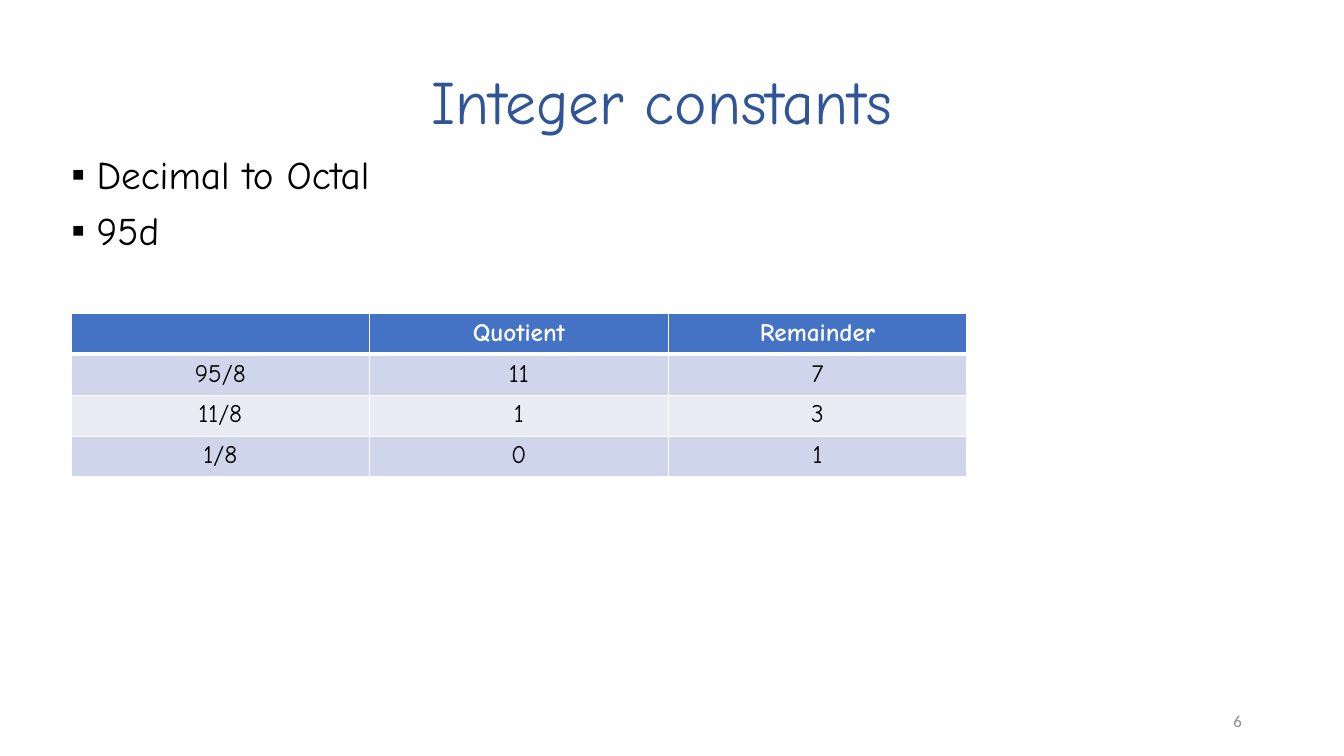
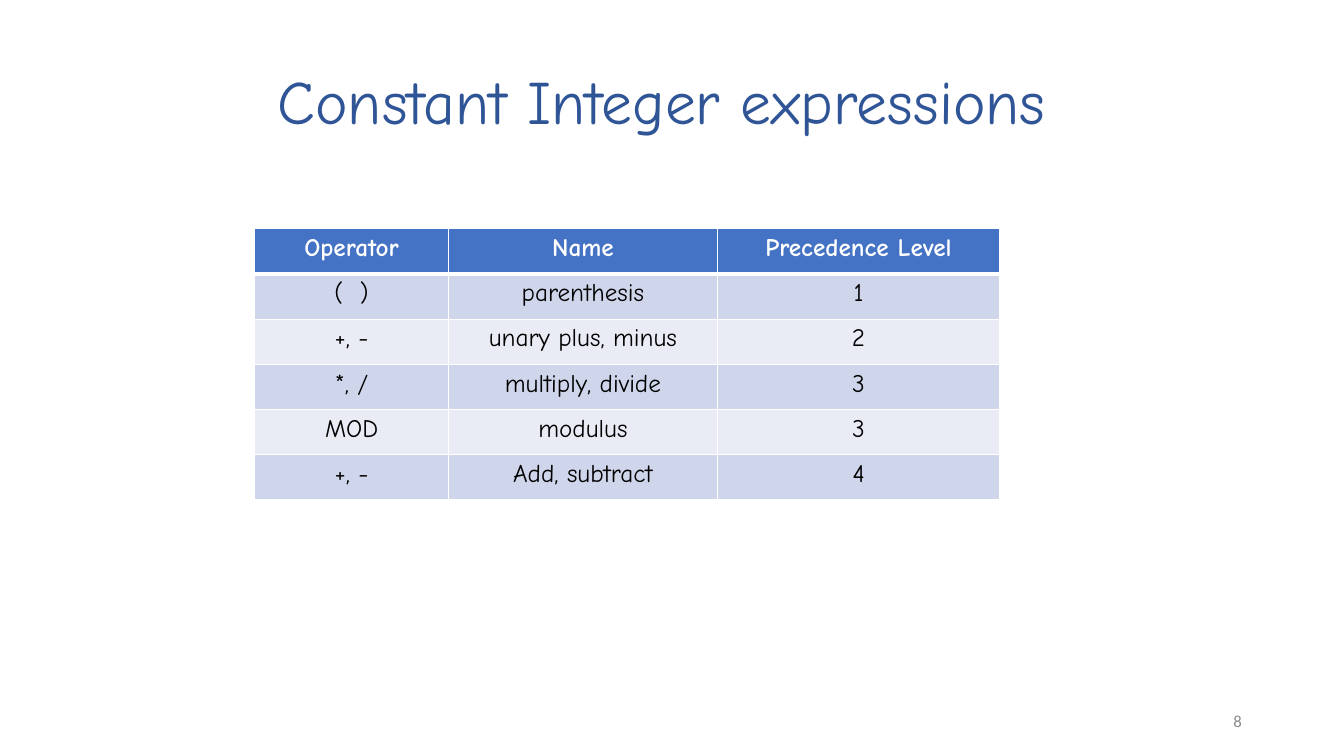
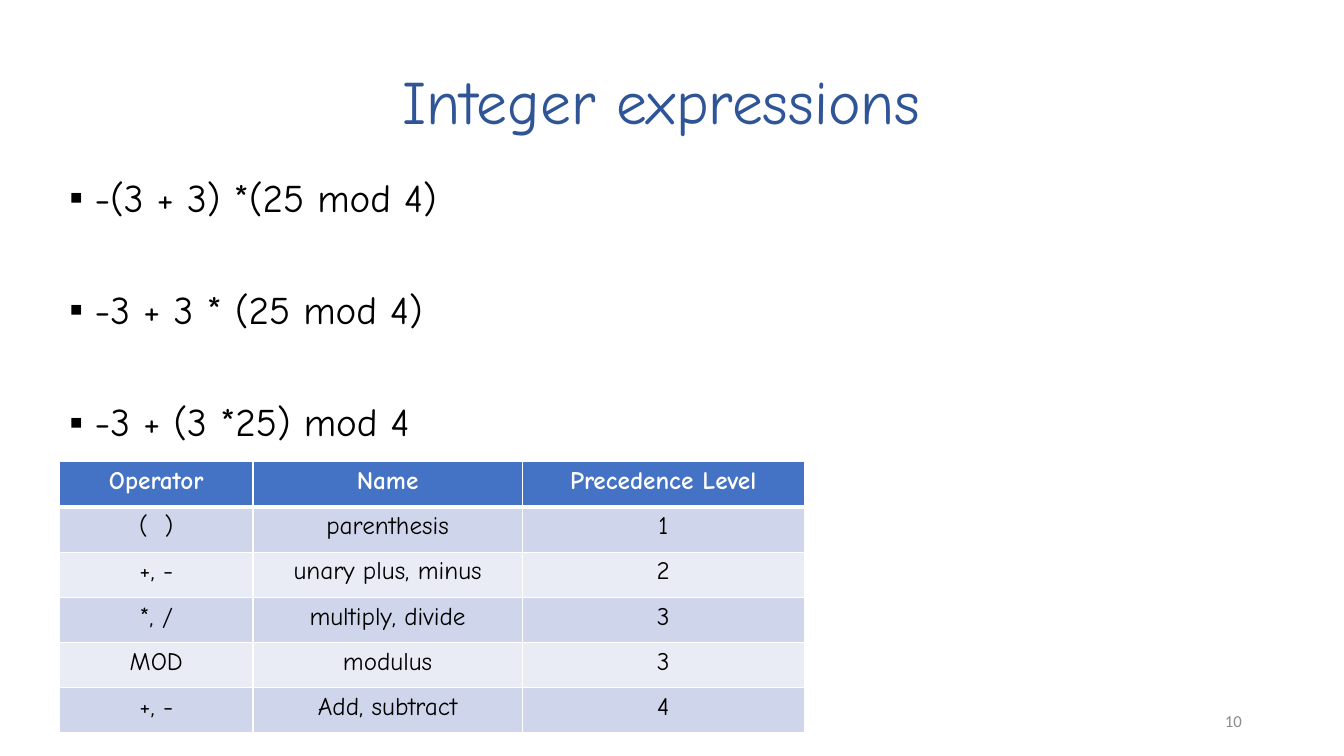
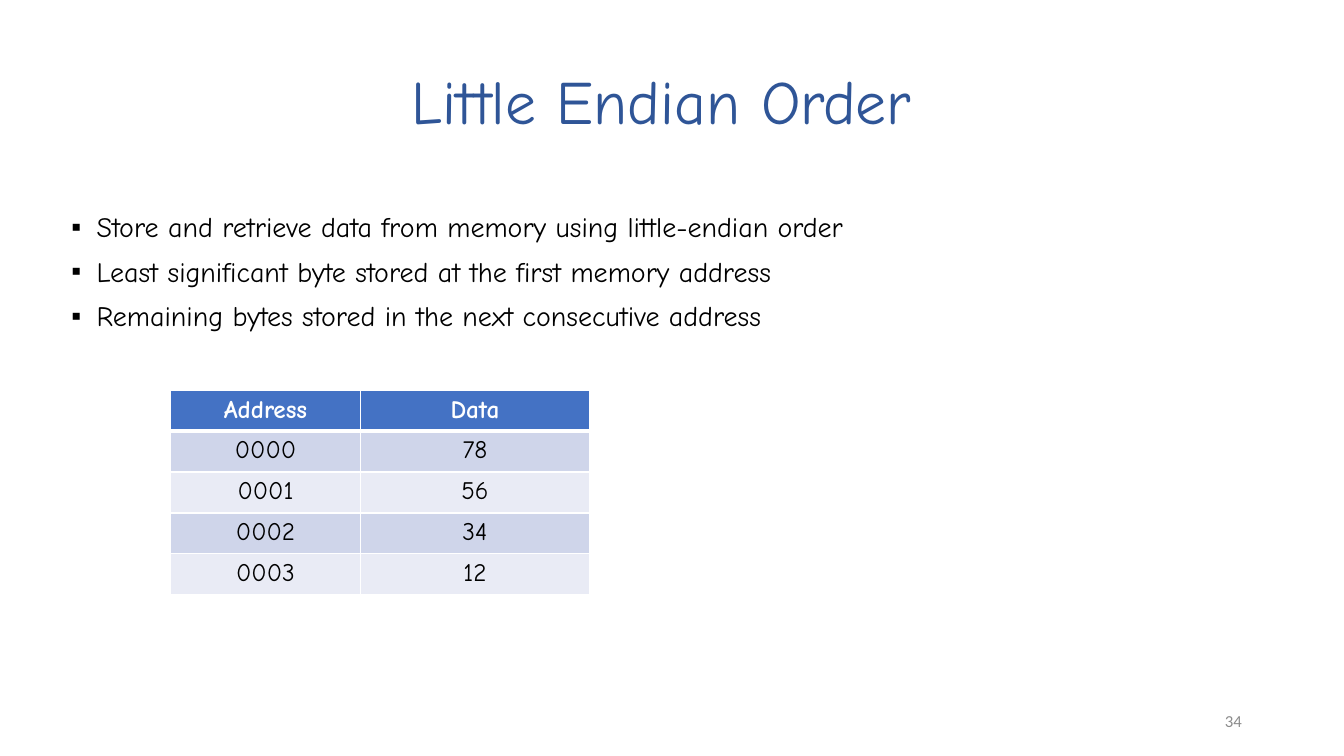
import pptx
import pptx.dml.color
import pptx.enum.text
import pptx.oxml.ns
import pptx.util
from lxml import etree

Pt = pptx.util.Pt
RGBColor = pptx.dml.color.RGBColor
ALIGN = pptx.enum.text.PP_ALIGN
ANCHOR = pptx.enum.text.MSO_ANCHOR
qualified = pptx.oxml.ns.qn

TITLE_BLUE = RGBColor(0x2F, 0x55, 0x97)
HEADER_BLUE = RGBColor(0x44, 0x72, 0xC4)
BAND_DARK = RGBColor(0xCF, 0xD5, 0xEA)
BAND_LIGHT = RGBColor(0xE9, 0xEB, 0xF5)
WHITE = RGBColor(0xFF, 0xFF, 0xFF)
BLACK = RGBColor(0, 0, 0)
GREY = RGBColor(0x8C, 0x8C, 0x8C)

TEXT_FONT = "Comic Neue"
NUMBER_FONT = "Calibri"
TITLE_BOX = (151.2, 22.3, 643, 104.4)
NUMBER_BOX = (678.2, 500.5, 216, 28.8)
BULLET_INDENT = 18

PRECEDENCE_COLUMNS = (138.3, 192.2, 201.6)
PRECEDENCE_ROW_HEIGHT = 32.3
PRECEDENCE_ROWS = (
    ("Operator", "Name", "Precedence Level"),
    ("(  )", "parenthesis", "1"),
    ("+, -", "unary plus, minus", "2"),
    ("*, /", "multiply, divide", "3"),
    ("MOD", "modulus", "3"),
    ("+, -", "Add, subtract", "4"),
)


def add_run(paragraph, text, size, color, font=TEXT_FONT, bold=False):
    run = paragraph.add_run()
    run.text = text
    run.font.name = font
    run.font.size = Pt(size)
    run.font.bold = bold
    run.font.color.rgb = color


def add_text_frame(slide, box, anchor):
    frame = slide.shapes.add_textbox(*map(Pt, box)).text_frame
    frame.word_wrap = True
    frame.vertical_anchor = anchor
    return frame


def add_titled_slide(presentation, title, number):
    slide = presentation.slides.add_slide(presentation.slide_layouts[5])
    shape = slide.shapes.title
    shape.left, shape.top, shape.width, shape.height = map(Pt, TITLE_BOX)
    frame = shape.text_frame
    frame.auto_size = pptx.enum.text.MSO_AUTO_SIZE.NONE
    frame.vertical_anchor = ANCHOR.MIDDLE
    paragraph = frame.paragraphs[0]
    paragraph.alignment = ALIGN.CENTER
    paragraph.line_spacing = 0.9
    add_run(paragraph, title, 44, TITLE_BLUE)

    paragraph = add_text_frame(slide, NUMBER_BOX, ANCHOR.MIDDLE).paragraphs[0]
    paragraph.alignment = ALIGN.RIGHT
    add_run(paragraph, number, 12, GREY, NUMBER_FONT)
    return slide


def set_bullet(paragraph):
    properties = paragraph._p.get_or_add_pPr()
    properties.set("marL", str(Pt(BULLET_INDENT)))
    properties.set("indent", str(-Pt(BULLET_INDENT)))
    etree.SubElement(properties, qualified("a:buFont"), typeface="Arial")
    etree.SubElement(properties, qualified("a:buChar"), char="▪")


def add_bullets(slide, box, items, size, space_before=10):
    frame = add_text_frame(slide, box, ANCHOR.TOP)
    for index, item in enumerate(items):
        paragraph = frame.add_paragraph() if index else frame.paragraphs[0]
        paragraph.line_spacing = 0.9
        paragraph.space_before = Pt(space_before if index else 10)
        set_bullet(paragraph)
        add_run(paragraph, item, size, BLACK)


def set_borders(cell, top, bottom):
    """Draw white cell borders; the side borders are 1 point wide."""
    properties = cell._tc.get_or_add_tcPr()
    for side, width in (("L", 1), ("R", 1), ("T", top), ("B", bottom)):
        line = etree.SubElement(properties, qualified("a:ln" + side), w=str(Pt(width)))
        fill = etree.SubElement(line, qualified("a:solidFill"))
        etree.SubElement(fill, qualified("a:srgbClr"), val=str(WHITE))


def add_banded_table(slide, left, top, column_widths, row_height, rows):
    table = slide.shapes.add_table(
        len(rows), len(column_widths), Pt(left), Pt(top),
        Pt(sum(column_widths)), Pt(row_height * len(rows))).table
    for column, width in zip(table.columns, column_widths):
        column.width = Pt(width)
    for row_index, texts in enumerate(rows):
        table.rows[row_index].height = Pt(row_height)
        is_header = row_index == 0
        band = BAND_DARK if row_index % 2 else BAND_LIGHT
        for column_index, text in enumerate(texts):
            cell = table.cell(row_index, column_index)
            set_borders(cell, 3 if row_index == 1 else 1, 3 if is_header else 1)
            cell.fill.solid()
            cell.fill.fore_color.rgb = HEADER_BLUE if is_header else band
            paragraph = cell.text_frame.paragraphs[0]
            paragraph.alignment = ALIGN.CENTER
            if text:
                add_run(paragraph, text, 18, WHITE if is_header else BLACK, bold=is_header)


def add_precedence_table(slide, left, top):
    add_banded_table(slide, left, top, PRECEDENCE_COLUMNS,
                     PRECEDENCE_ROW_HEIGHT, PRECEDENCE_ROWS)


def build_integer_constants(presentation):
    slide = add_titled_slide(presentation, "Integer constants", "6")
    add_bullets(slide, (43.9, 107.3, 828, 388.8), ("Decimal to Octal", "95d"), 28)
    add_banded_table(slide, 50.7, 223.9, (213.3,) * 3, 29.2, (
        ("", "Quotient", "Remainder"),
        ("95/8", "11", "7"),
        ("11/8", "1", "3"),
        ("1/8", "0", "1"),
    ))


def build_constant_expressions(presentation):
    slide = add_titled_slide(presentation, "Constant Integer expressions", "8")
    add_precedence_table(slide, 182, 163.4)


def build_integer_expressions(presentation):
    slide = add_titled_slide(presentation, "Integer expressions", "10")
    add_bullets(slide, (42.5, 123.7, 828, 345), (
        "-(3 + 3) *(25 mod 4)",
        "-3 + 3 * (25 mod 4)",
        "-3 + (3 *25) mod 4",
    ), 28, space_before=50)
    add_precedence_table(slide, 42.5, 329.8)


def build_little_endian(presentation):
    slide = add_titled_slide(presentation, "Little Endian Order", "34")
    add_bullets(slide, (43.9, 149, 828, 346.3), (
        "Store and retrieve data from memory using little-endian order",
        "Least significant byte stored at the first memory address",
        "Remaining bytes stored in the next consecutive address",
    ), 20)
    add_banded_table(slide, 121.7, 278.8, (136, 163.2), 29.2, (
        ("Address", "Data"),
        ("0000", "78"),
        ("0001", "56"),
        ("0002", "34"),
        ("0003", "12"),
    ))


def main():
    presentation = pptx.Presentation()
    presentation.slide_width = Pt(960)
    presentation.slide_height = Pt(540)
    build_integer_constants(presentation)
    build_constant_expressions(presentation)
    build_integer_expressions(presentation)
    build_little_endian(presentation)
    presentation.save("out.pptx")


if __name__ == "__main__":
    main()
